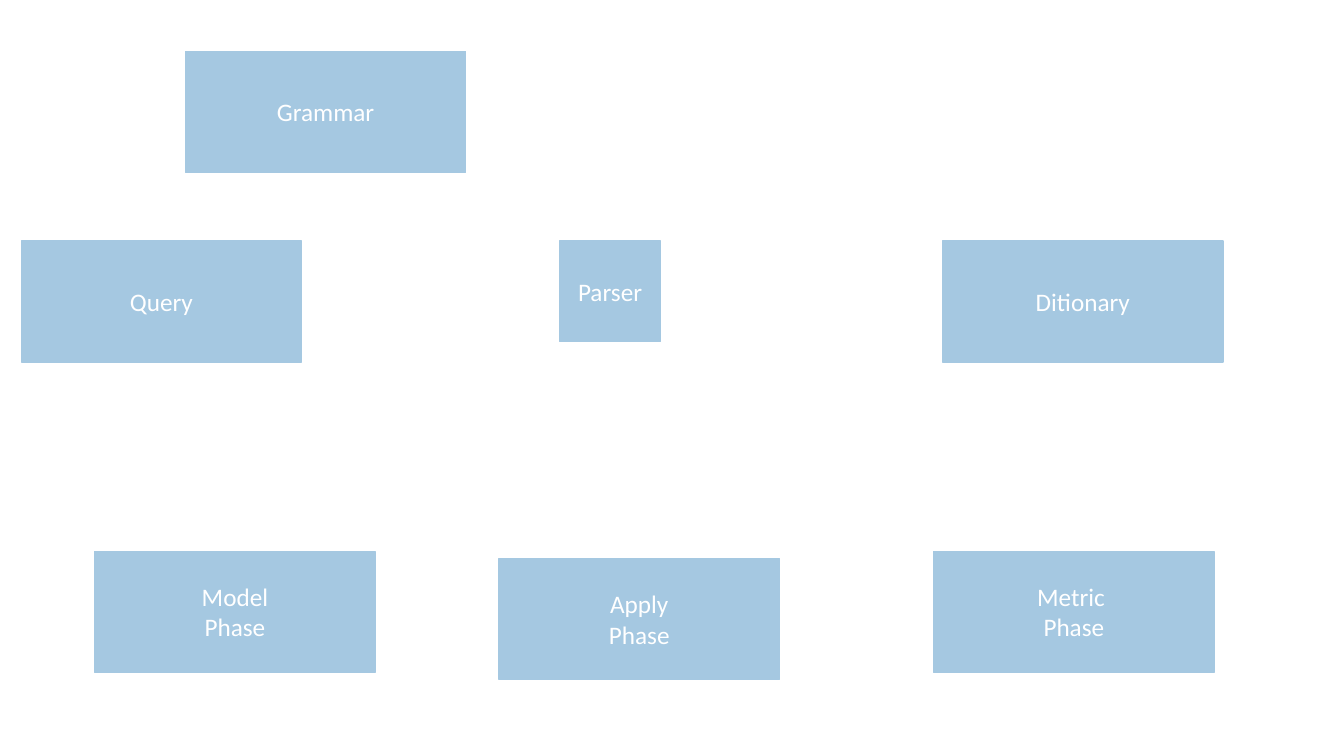
from pptx import Presentation, util as u
from pptx.dml.color import RGBColor
from pptx.enum import shapes, text


def tint(code):
    return RGBColor.from_string(code)


class Board:
    fill = "A5C8E1"
    ink = "FFFFFF"
    font = {"name": "Calibri", "size": u.Pt(18)}
    frame = {"word_wrap": True, "vertical_anchor": text.MSO_ANCHOR.MIDDLE}

    def __init__(self, deck):
        self.wide, self.high = deck.slide_width, deck.slide_height
        self.slide = deck.slides.add_slide(deck.slide_layouts[6])

    def style(self, item, format):
        for key, value in format.items():
            setattr(item, key, value)

    def box(self, label, left, top, width=20.86, height=16):
        x, w = (round(self.wide * part / 100) for part in (left, width))
        y, h = (round(self.high * part / 100) for part in (top, height))
        shape = self.slide.shapes.add_shape(
            shapes.MSO_SHAPE.RECTANGLE, x, y, w, h)
        shape.shadow.inherit = False
        shape.fill.solid()
        shape.fill.fore_color.rgb = tint(self.fill)
        shape.line.color.rgb = tint(self.fill)
        shape.line.width = u.Pt(1)
        body = shape.text_frame
        self.style(body, self.frame)
        body.text = label
        for para in body.paragraphs:
            para.alignment = text.PP_ALIGN.CENTER
            for run in para.runs:
                self.style(run.font, self.font)
                run.font.color.rgb = tint(self.ink)


def main():
    deck = Presentation()
    deck.slide_width, deck.slide_height = u.Inches(13.33), u.Inches(7.5)
    board = Board(deck)
    middle, bottom = 31.87, 72.93
    board.box("Query", 1.58, middle)
    board.box("Metric \nPhase", 69.47, bottom)
    board.box("Apply\nPhase", 37.13, 73.87)
    board.box("Model\nPhase", 7.05, bottom)
    board.box("Grammar", 13.8, 6.8)
    board.box("Parser", 41.64, middle, 7.5, 13.33)
    board.box("Ditionary", 70.14, middle)
    deck.save("out.pptx")


if __name__ == "__main__":
    main()
